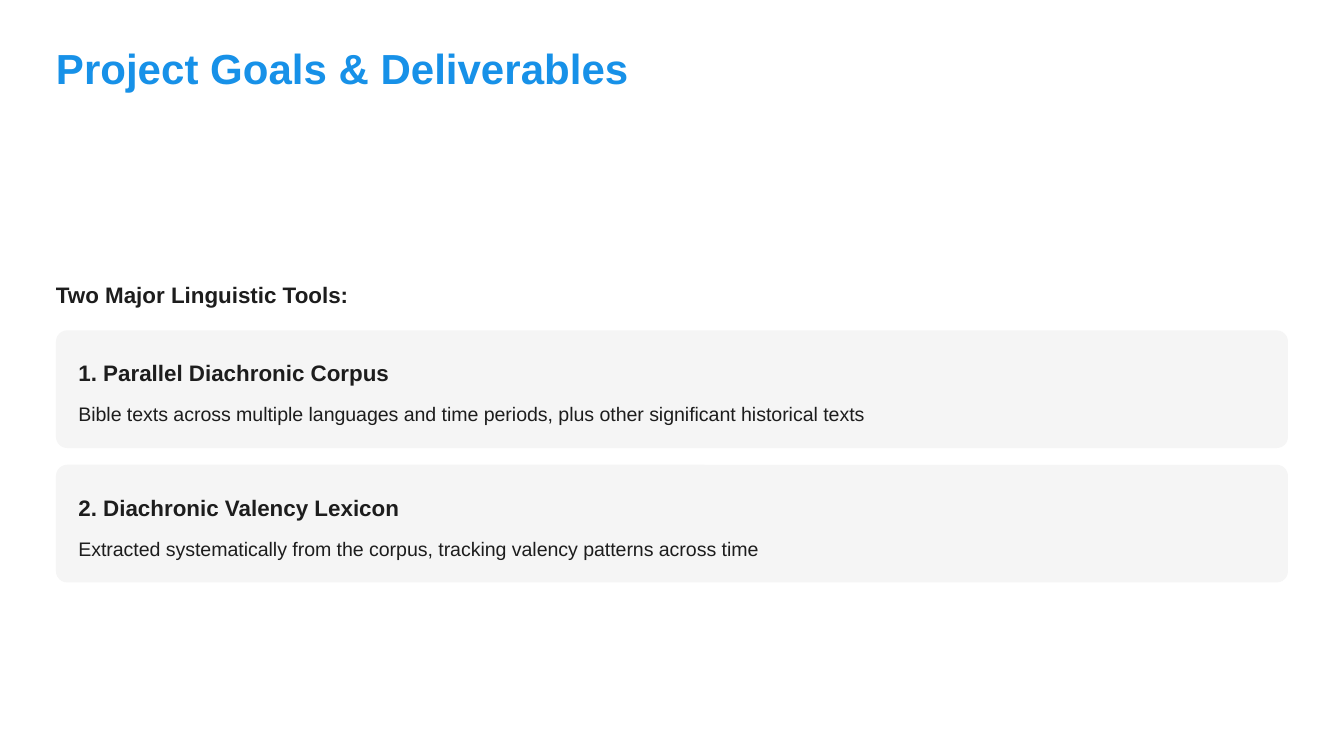
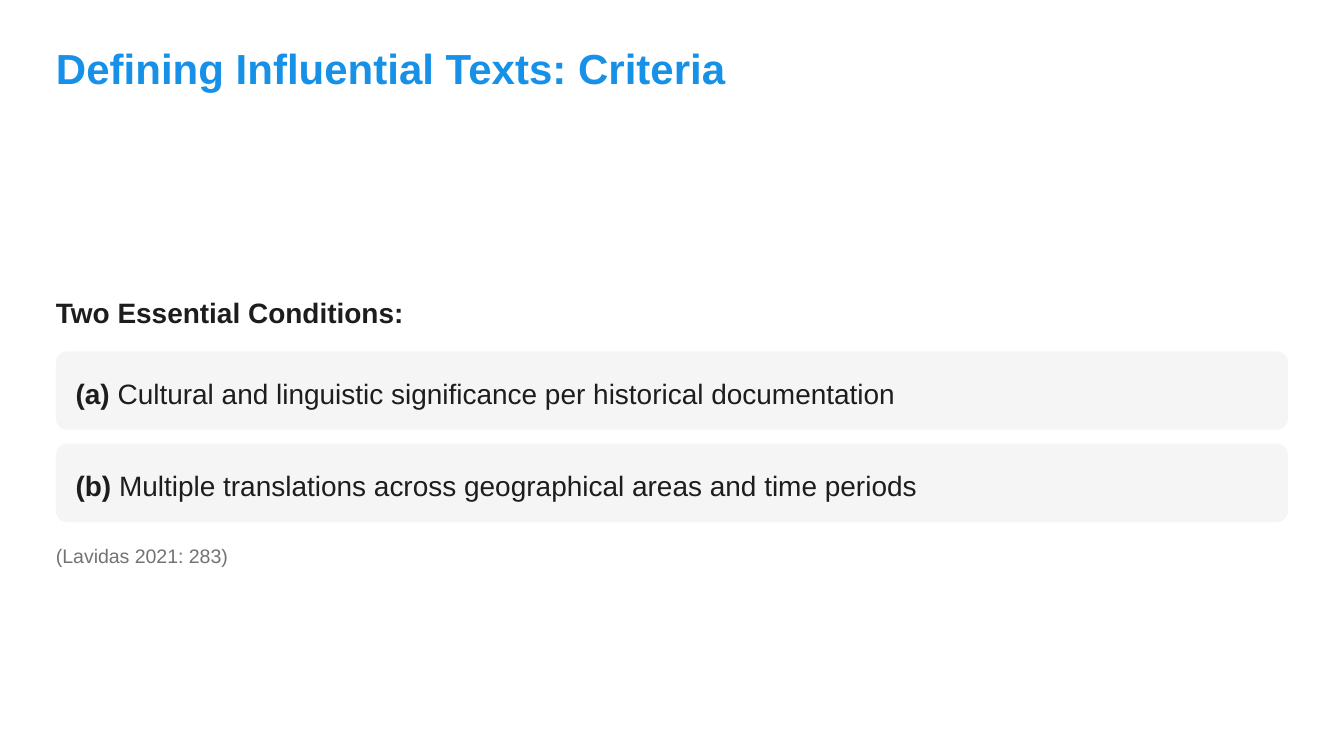
from dataclasses import dataclass
from typing import NamedTuple

from pptx import Presentation
from pptx.dml.color import RGBColor
from pptx.enum.shapes import MSO_SHAPE
from pptx.enum.text import MSO_ANCHOR, MSO_AUTO_SIZE, PP_ALIGN
from pptx.util import Emu, Pt

EMU_PER_PX = 9525


def px(n: int) -> Emu:
    return Emu(n * EMU_PER_PX)


class Style(NamedTuple):
    size: float
    leading: int
    color: str = "1D1D1D"
    bold: bool = False
    after: int = 0


@dataclass(frozen=True)
class Theme:
    font: str = "Arial"
    background: str = "FFFFFF"
    card: str = "F5F5F5"
    margin: int = 40
    content_w: int = 880
    text_w: int = 898
    radius: int = 8
    title: Style = Style(22.5, 27, "1791E8", True)
    tools_lead: Style = Style(12, 18, bold=True, after=12)
    tool_name: Style = Style(12, 18, bold=True, after=6)
    tool_detail: Style = Style(10.5, 15)
    criteria_lead: Style = Style(15, 21, bold=True, after=12)
    criterion: Style = Style(15, 21)
    citation: Style = Style(10.5, 15, "737373")


class Tool(NamedTuple):
    name: str
    detail: str


class Criterion(NamedTuple):
    label: str
    text: str


THEME = Theme()
TOOLS = [
    Tool("1. Parallel Diachronic Corpus",
         "Bible texts across multiple languages and time periods, "
         "plus other significant historical texts"),
    Tool("2. Diachronic Valency Lexicon",
         "Extracted systematically from the corpus, "
         "tracking valency patterns across time"),
]
CRITERIA = [
    Criterion("(a)", "Cultural and linguistic significance per historical documentation"),
    Criterion("(b)", "Multiple translations across geographical areas and time periods"),
]


def write(sp, text: str, *, style: Style, label: str = "") -> None:
    tf = sp.text_frame
    tf.margin_left = tf.margin_top = tf.margin_right = tf.margin_bottom = 0
    tf.word_wrap = True
    tf.auto_size = MSO_AUTO_SIZE.NONE
    tf.vertical_anchor = MSO_ANCHOR.TOP
    p = tf.paragraphs[0]
    p.alignment = PP_ALIGN.LEFT
    p.line_spacing = Pt(style.leading)
    p.space_after = Pt(style.after)
    runs = [(label, True), (f" {text}", style.bold)] if label else [(text, style.bold)]
    for content, bold in runs:
        r = p.add_run()
        r.text = content
        r.font.name = THEME.font
        r.font.size = Pt(style.size)
        r.font.bold = bold
        r.font.color.rgb = RGBColor.from_string(style.color)


def add_text(s, x: int, y: int, w: int, h: int, text: str, *,
             style: Style, label: str = "") -> None:
    sp = s.shapes.add_textbox(px(x), px(y), px(w), px(h))
    write(sp, text, style=style, label=label)


def add_card(s, y: int, h: int) -> None:
    sp = s.shapes.add_shape(MSO_SHAPE.ROUNDED_RECTANGLE, px(THEME.margin), px(y),
                            px(THEME.content_w), px(h))
    sp.adjustments[0] = THEME.radius / h
    sp.shadow.inherit = False
    sp.fill.solid()
    sp.fill.fore_color.rgb = RGBColor.from_string(THEME.card)
    sp.line.fill.background()


def add_titled_slide(prs, title: str, width: int):
    s = prs.slides.add_slide(prs.slide_layouts[5])
    s.background.fill.solid()
    s.background.fill.fore_color.rgb = RGBColor.from_string(THEME.background)
    sp = s.shapes.title
    sp.left, sp.top, sp.width, sp.height = px(THEME.margin), px(30), px(width), px(36)
    write(sp, title, style=THEME.title)
    return s


def build_goals(prs) -> None:
    s = add_titled_slide(prs, "Project Goals & Deliverables", 450)
    add_text(s, THEME.margin, 196, THEME.text_w, 24, "Two Major Linguistic Tools:",
             style=THEME.tools_lead)
    top, height, gap, pad = 236, 84, 12, 16
    x, w = THEME.margin + pad, 865
    for i, tool in enumerate(TOOLS):
        y = top + i * (height + gap)
        add_card(s, y, height)
        add_text(s, x, y + pad, w, 24, tool.name, style=THEME.tool_name)
        add_text(s, x, y + pad + 32, w, 20, tool.detail, style=THEME.tool_detail)


def build_criteria(prs) -> None:
    s = add_titled_slide(prs, "Defining Influential Texts: Criteria", 488)
    add_text(s, THEME.margin, 207, THEME.text_w, 28, "Two Essential Conditions:",
             style=THEME.criteria_lead)
    top, height, gap, pad = 251, 56, 10, 14
    for i, item in enumerate(CRITERIA):
        y = top + i * (height + gap)
        add_card(s, y, height)
        add_text(s, THEME.margin + pad, y + pad, 869, 28, item.text,
                 style=THEME.criterion, label=item.label)
    add_text(s, THEME.margin, 385, THEME.text_w, 20, "(Lavidas 2021: 283)",
             style=THEME.citation)


def main() -> None:
    prs = Presentation()
    prs.slide_width, prs.slide_height = px(960), px(540)
    build_goals(prs)
    build_criteria(prs)
    prs.save("out.pptx")


if __name__ == "__main__":
    main()
